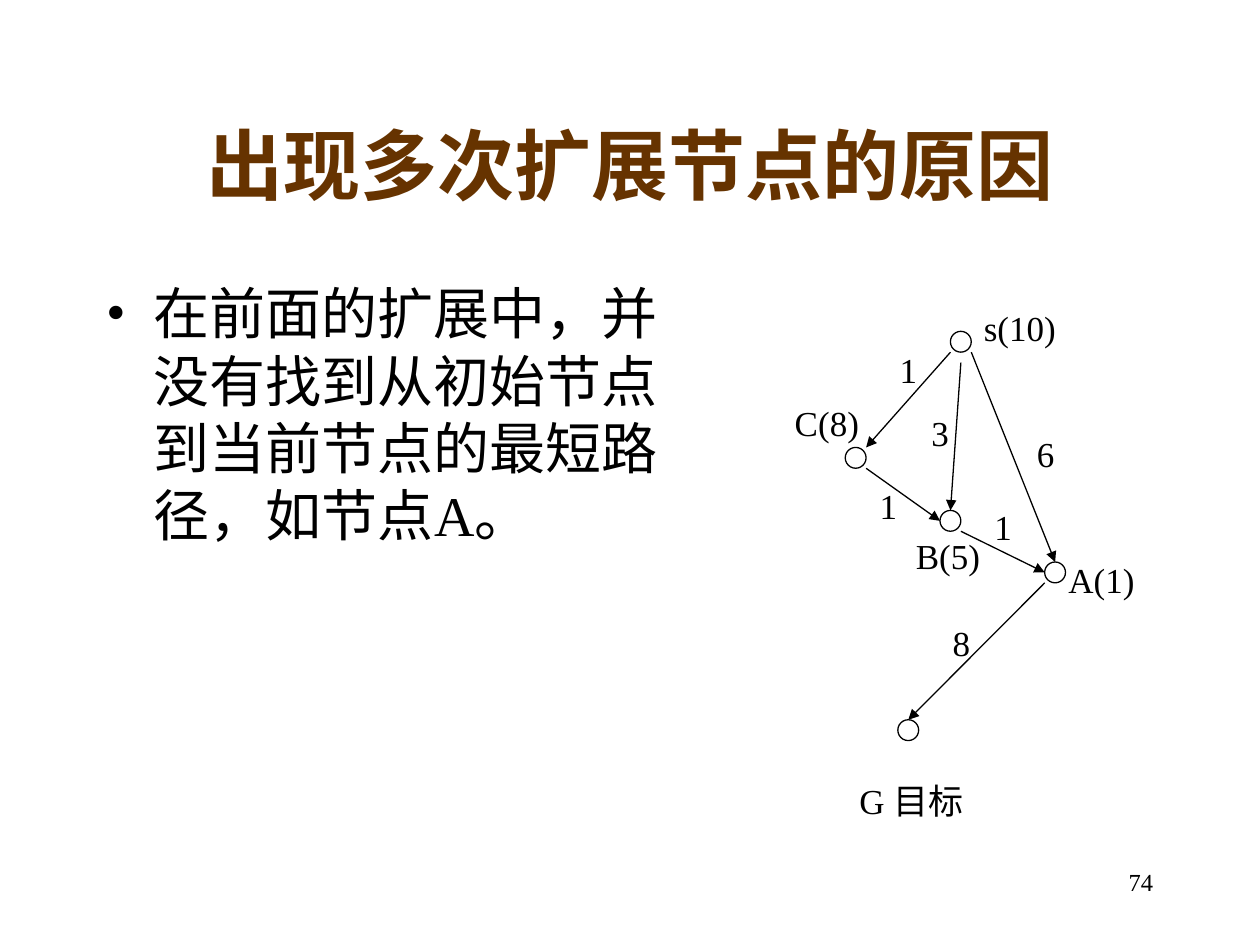
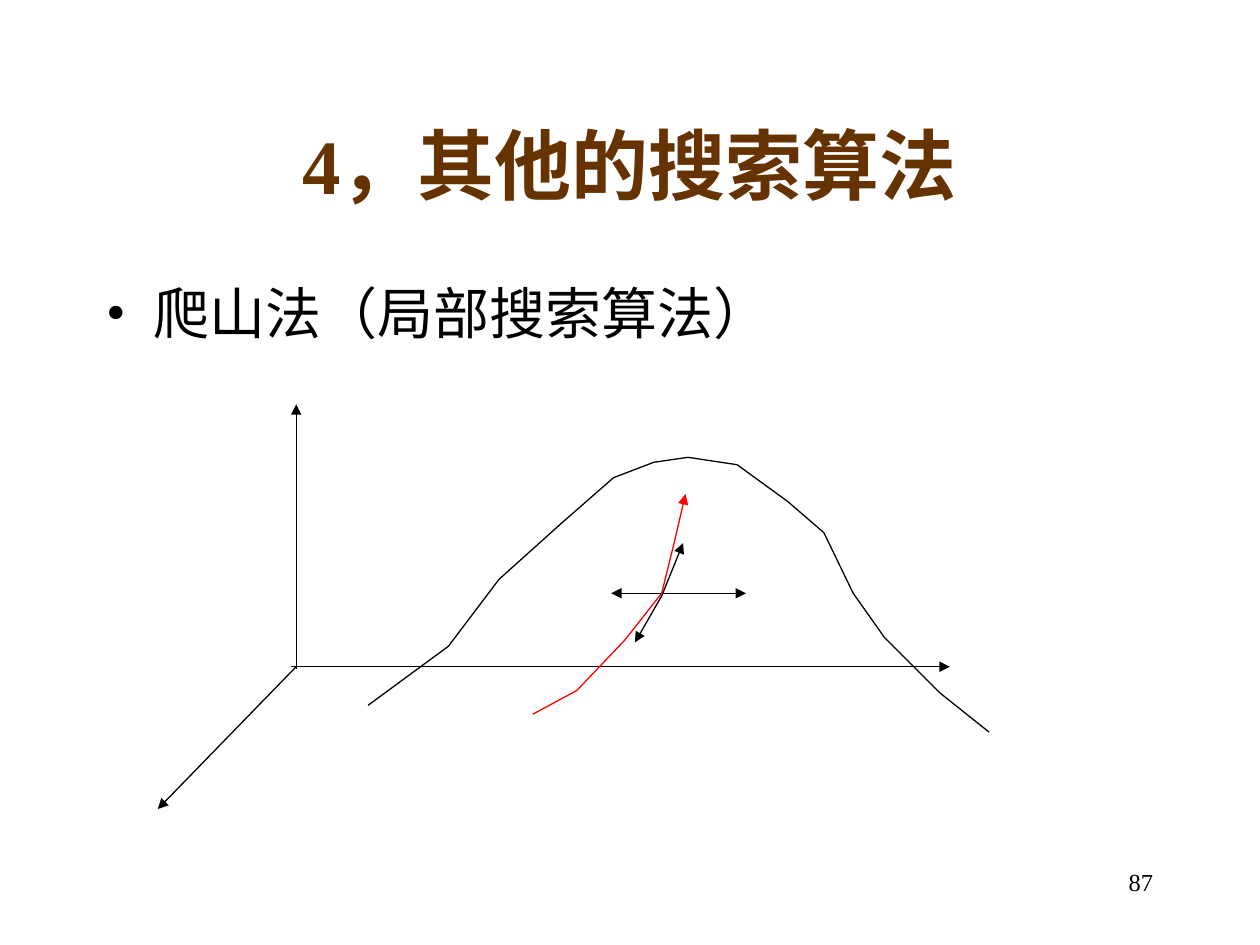
from lxml import etree
from pptx import Presentation
from pptx.dml.color import RGBColor
from pptx.enum.shapes import MSO_CONNECTOR, MSO_SHAPE
from pptx.enum.text import MSO_ANCHOR, MSO_AUTO_SIZE, PP_ALIGN
from pptx.oxml.ns import qn
from pptx.util import Cm, Pt

FONT = "Times New Roman"
BLACK, BROWN, RED, WHITE = "000000", "663300", "FF0000", "FFFFFF"
rgb = RGBColor.from_string


def write(shape, text, size, align, color=BLACK, bold=False, anchor=MSO_ANCHOR.TOP, wrap=True, bullet=False):
    tf = shape.text_frame
    tf.word_wrap, tf.auto_size, tf.vertical_anchor = wrap, MSO_AUTO_SIZE.NONE, anchor
    p = tf.paragraphs[0]
    p.alignment = align
    if bullet:
        pPr = p._p.get_or_add_pPr()
        pPr.set("marL", str(Cm(0.95)))
        pPr.set("indent", str(-Cm(0.95)))
        etree.SubElement(pPr, qn("a:buFont"), typeface=FONT)
        etree.SubElement(pPr, qn("a:buChar"), char="•")
    r = p.add_run()
    r.text = text
    r.font.name, r.font.size, r.font.bold = FONT, Pt(size), bold
    r.font.color.rgb = rgb(color)


def style_line(shape, color=BLACK, arrow=True):
    shape.line.color.rgb = rgb(color)
    shape.line.width = Pt(0.75)
    spPr = shape.element.spPr
    if arrow:
        etree.SubElement(spPr.find(qn("a:ln")), qn("a:tailEnd"), type="triangle")
    etree.SubElement(spPr, qn("a:effectLst"))


prs = Presentation()
prs.slide_width, prs.slide_height = Cm(25.4), Cm(19.05)

# Shared parts: title, bulleted body and page number
pages = [
    ("出现多次扩展节点的原因", "在前面的扩展中，并没有找到从初始节点到当前节点的最短路径，如节点A。", 12.45, 11.43, "74"),
    ("4，其他的搜索算法", "爬山法（局部搜索算法）", 21.6, 1.9, "87"),
]
slides = []
for title, body, body_w, body_h, number in pages:
    s = prs.slides.add_slide(prs.slide_layouts[5])
    sp = s.shapes.title
    sp.left, sp.top, sp.width, sp.height = Cm(1.9), Cm(1.7), Cm(21.6), Cm(3.18)
    write(sp, title, 44, PP_ALIGN.CENTER, BROWN, bold=True, anchor=MSO_ANCHOR.MIDDLE)
    sp = s.shapes.add_textbox(Cm(1.9), Cm(5.5), Cm(body_w), Cm(body_h))
    write(sp, body, 32, PP_ALIGN.LEFT, bullet=True)
    sp = s.shapes.add_textbox(Cm(18.2), Cm(17.35), Cm(5.3), Cm(1.27))
    write(sp, number, 14, PP_ALIGN.RIGHT)
    slides.append(s)
graph_slide, hill_slide = slides

# Search graph: nodes by centre
RADIUS = 0.21
nodes = {"s": (19.37, 6.89), "C": (17.25, 9.23), "B": (19.16, 10.5),
         "A": (21.27, 11.54), "G": (18.31, 14.72)}
for x, y in nodes.values():
    sp = graph_slide.shapes.add_shape(
        MSO_SHAPE.OVAL, Cm(x - RADIUS), Cm(y - RADIUS), Cm(2 * RADIUS), Cm(2 * RADIUS))
    sp.fill.solid()
    sp.fill.fore_color.rgb = rgb(WHITE)
    style_line(sp, arrow=False)

# Edges: start node and end node, each with its offset in radii
edges = [
    ("s", (-1, 1), "C", (1, -1)), ("s", (0, 2), "B", (0, -1)), ("s", (1, 1), "A", (0, -1)),
    ("A", (-1, 1), "G", (0, -1)), ("C", (1, 1), "B", (-1, 0)), ("B", (1, 1), "A", (-1, 0)),
]
for start, start_off, end, end_off in edges:
    ends = [Cm(c + RADIUS * d) for node, off in ((start, start_off), (end, end_off))
            for c, d in zip(nodes[node], off)]
    style_line(graph_slide.shapes.add_connector(MSO_CONNECTOR.STRAIGHT, *ends))

# Node names and edge costs: text, left, top, width
labels = [
    ("s(10)", 19.58, 6.05, 1.96), ("A(1)", 21.29, 11.13, 1.83), ("B(5)", 18.21, 10.64, 1.8),
    ("C(8)", 15.77, 7.95, 1.8), ("G 目标", 16.99, 15.57, 2.77),
    ("6", 20.65, 8.59, 0.86), ("3", 18.52, 8.15, 0.86), ("1", 17.88, 6.88, 0.86),
    ("1", 17.48, 9.63, 0.86), ("1", 19.79, 10.06, 0.86), ("8", 18.95, 12.4, 0.86),
]
for text, x, y, w in labels:
    sp = graph_slide.shapes.add_textbox(Cm(x), Cm(y), Cm(w), Cm(1.12))
    write(sp, text, 20, PP_ALIGN.CENTER, anchor=MSO_ANCHOR.MIDDLE, wrap=False)

# Hill climbing: axes, then the steps tried from the current point
arrows = [
    (5.87, 13.44, 19.15, 13.44), (5.97, 13.49, 5.97, 8.15), (5.97, 13.44, 3.18, 16.31),
    (13.34, 11.96, 15.04, 11.96), (13.34, 12.01, 13.77, 10.95),
    (13.34, 12.01, 12.8, 12.95), (13.34, 11.96, 12.32, 11.96),
]
for ends in arrows:
    style_line(hill_slide.shapes.add_connector(MSO_CONNECTOR.STRAIGHT, *map(Cm, ends)))

# Hill outline and climbing path
hill = [(7.42, 14.22), (9.04, 13.03), (10.06, 11.68), (11.33, 10.54), (12.37, 9.63),
        (13.18, 9.32), (13.87, 9.22), (14.86, 9.37), (15.88, 10.11), (16.61, 10.74),
        (17.2, 11.96), (17.83, 12.85), (18.95, 13.97), (19.94, 14.76)]
climb = [(10.74, 14.4), (11.63, 13.92), (12.6, 12.9), (13.34, 11.96), (13.59, 10.95), (13.82, 9.96)]
for points, color, arrow in ((hill, BLACK, False), (climb, RED, True)):
    first, *rest = [(Cm(x), Cm(y)) for x, y in points]
    outline = hill_slide.shapes.build_freeform(*first)
    outline.add_line_segments(rest, close=False)
    sp = outline.convert_to_shape()
    sp.fill.background()
    style_line(sp, color, arrow)

prs.save("out.pptx")
